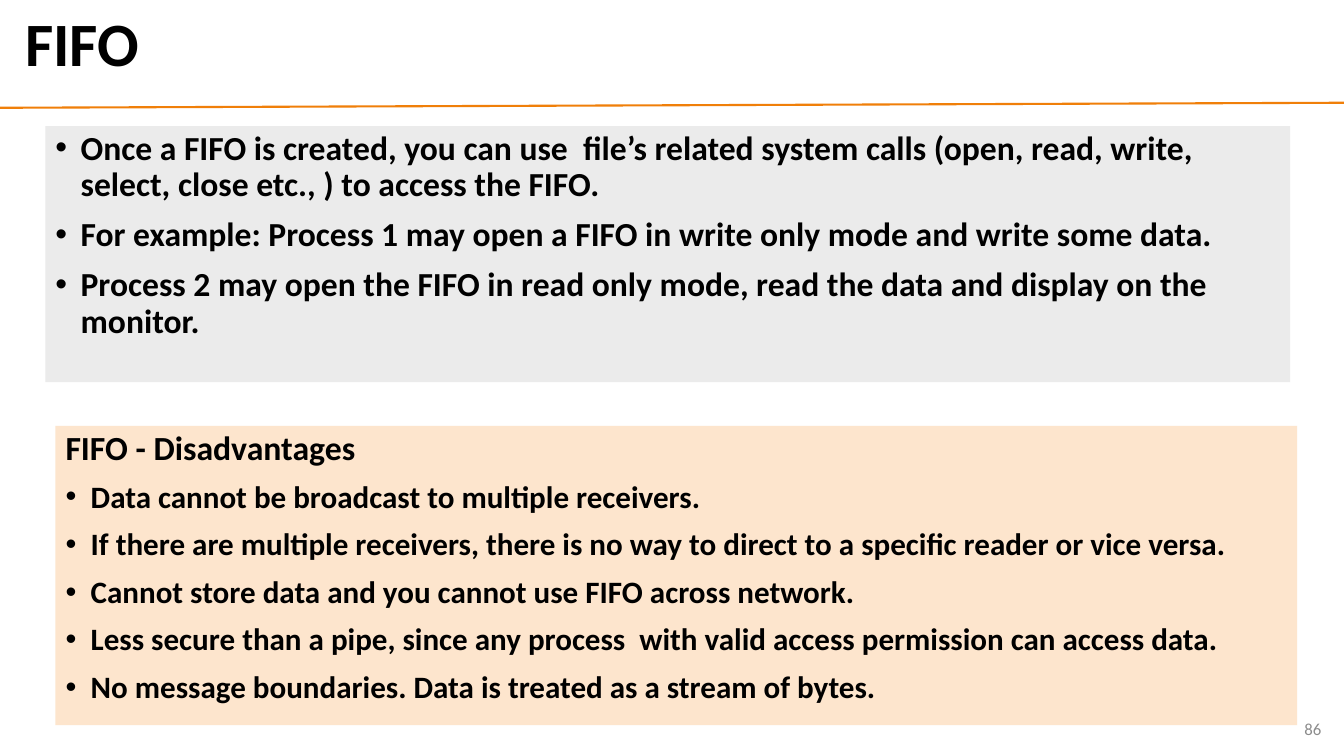
from lxml import etree
from pptx import Presentation
from pptx.dml.color import RGBColor
from pptx.enum import shapes, text
from pptx.oxml.ns import qn
from pptx.util import Pt

# Content
TITLE = "FIFO"
PAGE = "86"
USAGE = [
    "Once a FIFO is created, you can use  file’s related system calls "
    "(open, read, write, select, close etc., ) to access the FIFO.",
    "For example: Process 1 may open a FIFO in write only mode and write some data.",
    "Process 2 may open the FIFO in read only mode, read the data and display on the monitor.",
]
HEADING = "FIFO - Disadvantages"
DRAWBACKS = [
    "Data cannot be broadcast to multiple receivers.",
    "If there are multiple receivers, there is no way to direct to a specific reader or vice versa.",
    "Cannot store data and you cannot use FIFO across network.",
    "Less secure than a pipe, since any process  with valid access permission can access data.",
    "No message boundaries. Data is treated as a stream of bytes.",
]
COLORS = {"rule": "F07F09", "text": "000000", "page": "8C8C8C",
          "usage": "EBEBEB", "drawbacks": "FDE5CD"}
FONT = "Calibri"
INDENT = 18
LEFT, RIGHT, JUSTIFY = (text.PP_ALIGN.LEFT, text.PP_ALIGN.RIGHT, text.PP_ALIGN.JUSTIFY)

# Placement: left, top, width, height in points
TITLE_BOX = (10.8, 3.6, 928, 59.8)
PAGE_BOX = (735, 506.2, 216, 28.8)
USAGE_BOX = (32.4, 90, 889.2, 182.9)
DRAWBACKS_BOX = (39.6, 304.2, 887, 213.8)


def color(name):
    return RGBColor.from_string(COLORS[name])


def place(sp, box):
    sp.left, sp.top, sp.width, sp.height = map(Pt, box)


def setup_frame(sp, anchor):
    tf = sp.text_frame
    tf.word_wrap = True
    tf.auto_size = text.MSO_AUTO_SIZE.NONE
    tf.vertical_anchor = anchor
    return tf


def write(p, words, size, align, ink="text", bold=True):
    p.text = words
    p.alignment = align
    for r in p.runs:
        r.font.name, r.font.size, r.font.bold = FONT, Pt(size), bold
        r.font.color.rgb = color(ink)


def set_bullet(p, bulleted):
    ppr = p._p.get_or_add_pPr()
    indent = Pt(INDENT) if bulleted else 0
    ppr.set("marL", str(indent))
    ppr.set("indent", str(-indent))
    if bulleted:
        etree.SubElement(ppr, qn("a:buFont"), typeface="Arial")
        etree.SubElement(ppr, qn("a:buChar"), char="•")
    else:
        etree.SubElement(ppr, qn("a:buNone"))


def fill_panel(sp, box, fill, align, lines):
    place(sp, box)
    sp.fill.solid()
    sp.fill.fore_color.rgb = color(fill)
    tf = setup_frame(sp, text.MSO_ANCHOR.TOP)
    for i, (words, size, bulleted) in enumerate(lines):
        p = tf.add_paragraph() if i else tf.paragraphs[0]
        set_bullet(p, bulleted)
        write(p, words, size, align)
        p.line_spacing = 0.9
        p.space_before = Pt(10 if i else 0)


def main():
    prs = Presentation()
    prs.slide_width, prs.slide_height = Pt(960), Pt(540)
    slide = prs.slides.add_slide(prs.slide_layouts.get_by_name("Two Content"))
    title, usage, drawbacks = slide.placeholders

    # Rule under the title
    rule = slide.shapes.add_connector(
        shapes.MSO_CONNECTOR.STRAIGHT, 0, Pt(77), Pt(960), Pt(73.4))
    rule.line.color.rgb = color("rule")
    rule.line.width = Pt(1.5)
    etree.SubElement(rule._element.spPr, qn("a:effectLst"))

    # Title
    place(title, TITLE_BOX)
    p = setup_frame(title, text.MSO_ANCHOR.MIDDLE).paragraphs[0]
    write(p, TITLE, 44, LEFT)
    p.line_spacing = 0.9

    # Panels
    fill_panel(usage, USAGE_BOX, "usage", LEFT, [(s, 24, True) for s in USAGE])
    fill_panel(drawbacks, DRAWBACKS_BOX, "drawbacks", JUSTIFY,
               [(HEADING, 24.1, False)] + [(s, 22.2, True) for s in DRAWBACKS])

    # Page number
    page = slide.shapes.add_textbox(*map(Pt, PAGE_BOX))
    p = setup_frame(page, text.MSO_ANCHOR.MIDDLE).paragraphs[0]
    write(p, PAGE, 12, RIGHT, "page", False)

    prs.save("out.pptx")


if __name__ == "__main__":
    main()
